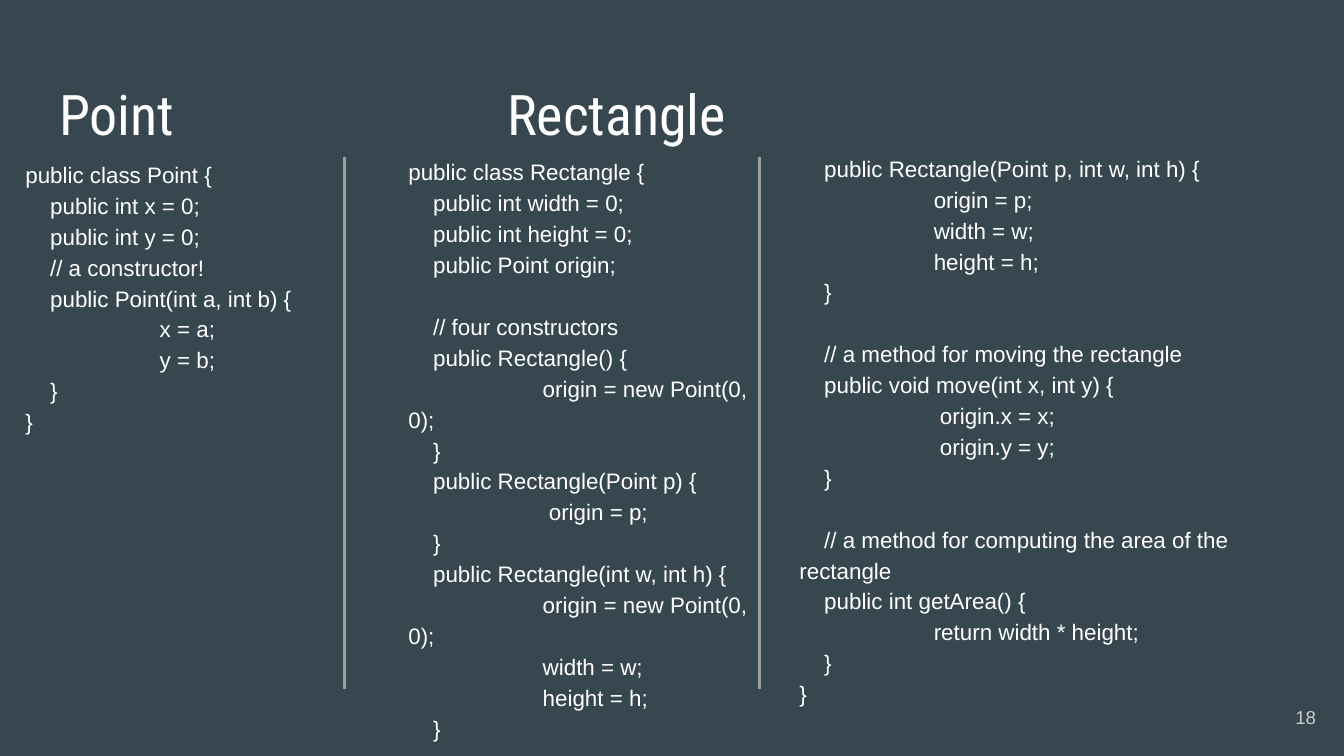
import pptx
import pptx.util
import pptx.dml.color
import pptx.enum.shapes
import pptx.enum.text
import pptx.oxml
import pptx.oxml.ns

Pt = pptx.util.Pt
RGBColor = pptx.dml.color.RGBColor
Align = pptx.enum.text.PP_ALIGN
Anchor = pptx.enum.text.MSO_ANCHOR

BACKGROUND = RGBColor(0x37, 0x47, 0x4F)
WHITE = RGBColor(0xFF, 0xFF, 0xFF)
PALE_GREY = RGBColor(0xCA, 0xCA, 0xCA)
RULE_GREY = RGBColor(0x9E, 0x9E, 0x9E)

# Content: code lines as (indent level, text); None leaves a gap
TITLE = "Point\tRectangle"
PAGE_NUMBER = "18"
POINT_CODE = [
    (0, "public class Point {"),
    (1, "public int x = 0;"),
    (1, "public int y = 0;"),
    (1, "// a constructor!"),
    (1, "public Point(int a, int b) {"),
    (2, "x = a;"),
    (2, "y = b;"),
    (1, "}"),
    (0, "}"),
]
RECTANGLE_CODE = [
    (0, "public class Rectangle {"),
    (1, "public int width = 0;"),
    (1, "public int height = 0;"),
    (1, "public Point origin;"),
    None,
    (1, "// four constructors"),
    (1, "public Rectangle() {"),
    (2, "origin = new Point(0, 0);"),
    (1, "}"),
    (1, "public Rectangle(Point p) {"),
    (3, "origin = p;"),
    (1, "}"),
    (1, "public Rectangle(int w, int h) {"),
    (2, "origin = new Point(0, 0);"),
    (2, "width = w;"),
    (2, "height = h;"),
    (1, "}"),
]
METHODS_CODE = [
    (1, "public Rectangle(Point p, int w, int h) {"),
    (2, "origin = p;"),
    (2, "width = w;"),
    (2, "height = h;"),
    (1, "}"),
    None,
    (1, "// a method for moving the rectangle"),
    (1, "public void move(int x, int y) {"),
    (3, "origin.x = x;"),
    (3, "origin.y = y;"),
    (1, "}"),
    None,
    (1, "// a method for computing the area of the rectangle"),
    (1, "public int getArea() {"),
    (2, "return width * height;"),
    (1, "}"),
    (0, "}"),
]

# Layout: left, top, width, height in points
TITLE_PLACE = (24.5, 35.3, 671, 45.4)
NUMBER_PLACE = (668.9, 368.6, 43.2, 31)
COLUMNS = [
    ((6.5, 77, 351.4, 225.4), POINT_CODE),
    ((211.7, 75.6, 205.9, 293), RECTANGLE_CODE),
    ((421.2, 73.7, 290.9, 295.7), METHODS_CODE),
]
INDENTS = [0, 13.3, 72, 75.3]
BLANK_LINE = 16.55
TITLE_TAB = 240
DIVIDERS = [184.5, 406.8]
DIVIDER_TOP, DIVIDER_BOTTOM = 84.2, 369.4

TITLE_FONT = {"name": "Roboto Condensed", "size": Pt(30)}
CODE_FONT = {"name": "Arial", "size": Pt(12)}
NUMBER_FONT = {"name": "Arial", "size": Pt(10)}


def set_all(target, values):
    for name, value in values.items():
        setattr(target, name, value)


def prepare_frame(box, anchor=Anchor.TOP):
    frame = box.text_frame
    set_all(frame, {"word_wrap": True, "vertical_anchor": anchor,
                    "auto_size": pptx.enum.text.MSO_AUTO_SIZE.NONE})
    set_all(frame, {f"margin_{side}": Pt(7.2)
                    for side in ("left", "top", "right", "bottom")})
    return frame


def write(para, text, font, color):
    span = para.add_run()
    span.text = text
    set_all(span.font, font)
    span.font.color.rgb = color


def add_box(page, place, anchor=Anchor.TOP):
    box = page.shapes.add_textbox(*map(Pt, place))
    return prepare_frame(box, anchor)


def add_code(page, place, lines):
    frame = add_box(page, place)
    para, gap = frame.paragraphs[0], 0
    for line in lines:
        if line is None:
            gap = BLANK_LINE
            continue
        level, text = line
        if para.runs:
            para = frame.add_paragraph()
        set_all(para, {"line_spacing": 1.15, "space_before": Pt(gap)})
        # Only the first line is indented; wrapped text returns to the margin
        properties = para._p.get_or_add_pPr()
        properties.set("marL", "0")
        properties.set("indent", str(int(Pt(INDENTS[level]))))
        write(para, text, CODE_FONT, WHITE)
        gap = 0


def add_divider(page, x):
    line = page.shapes.add_connector(
        pptx.enum.shapes.MSO_CONNECTOR.STRAIGHT,
        Pt(x), Pt(DIVIDER_TOP), Pt(x), Pt(DIVIDER_BOTTOM))
    line.line.color.rgb = RULE_GREY
    line.line.width = Pt(1.5)
    pptx.oxml.ns.qn("a:effectLst")
    line._element.spPr.append(
        pptx.oxml.parse_xml(f"<a:effectLst {pptx.oxml.ns.nsdecls('a')}/>"))


def add_title(page):
    title = page.shapes.title
    set_all(title, dict(zip(("left", "top", "width", "height"),
                            map(Pt, TITLE_PLACE))))
    para = prepare_frame(title).paragraphs[0]
    para.alignment = Align.LEFT
    # One tab stop sets the second heading over its column
    para._p.get_or_add_pPr().append(pptx.oxml.parse_xml(
        f"<a:tabLst {pptx.oxml.ns.nsdecls('a')}>"
        f'<a:tab pos="{int(Pt(TITLE_TAB))}" algn="l"/></a:tabLst>'))
    write(para, TITLE, TITLE_FONT, WHITE)


def main():
    deck = pptx.Presentation()
    set_all(deck, {"slide_width": Pt(720), "slide_height": Pt(405)})
    page = deck.slides.add_slide(deck.slide_layouts[5])
    page.background.fill.solid()
    page.background.fill.fore_color.rgb = BACKGROUND

    add_title(page)

    # Page number
    para = add_box(page, NUMBER_PLACE, Anchor.MIDDLE).paragraphs[0]
    para.alignment = Align.RIGHT
    write(para, PAGE_NUMBER, NUMBER_FONT, PALE_GREY)

    # Code columns and the rules between them
    for place, lines in COLUMNS:
        add_code(page, place, lines)
    for x in DIVIDERS:
        add_divider(page, x)

    deck.save("out.pptx")


if __name__ == "__main__":
    main()
